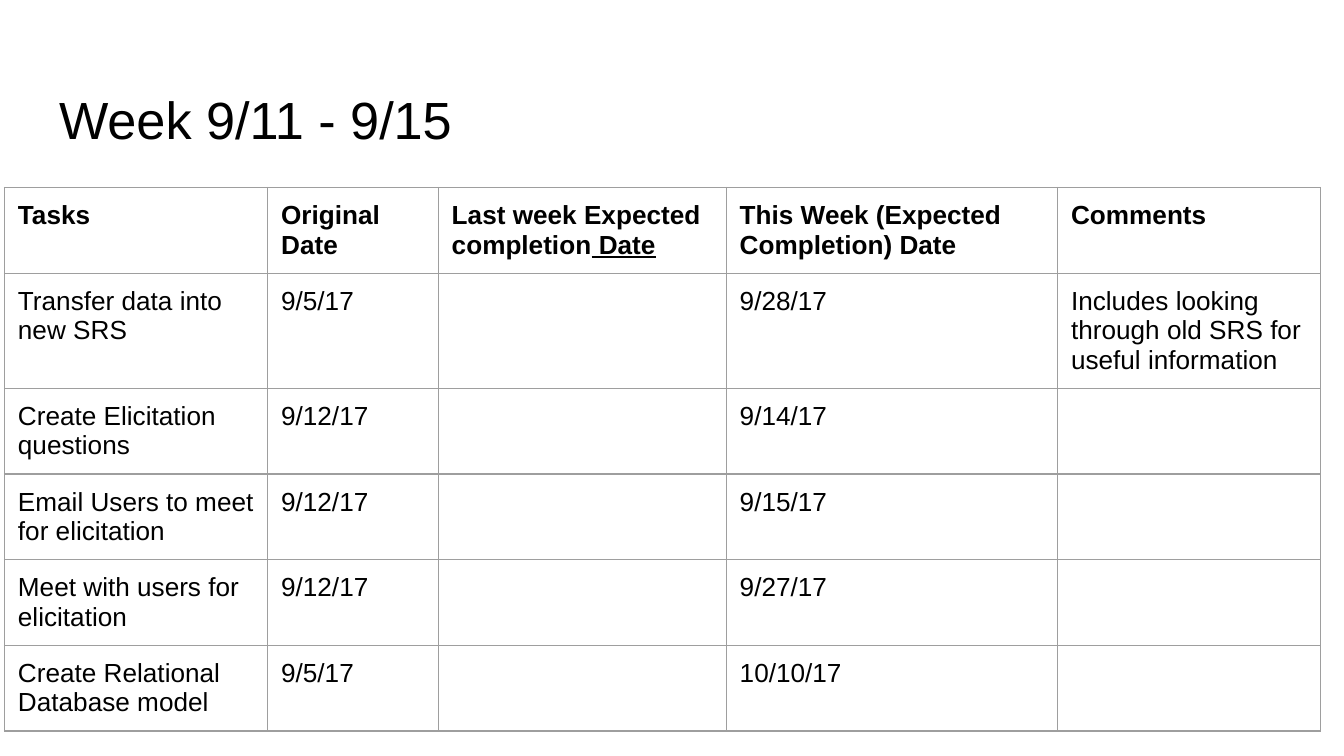
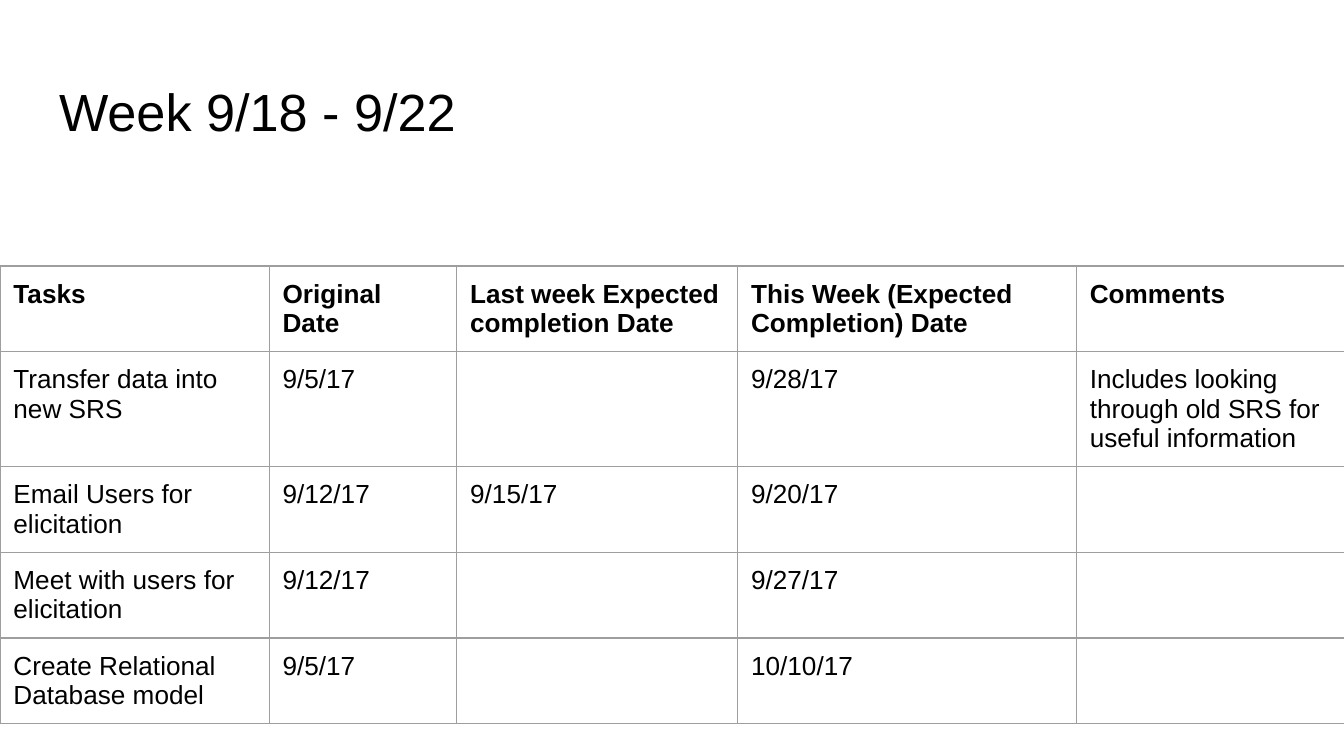
import pptx
import pptx.util
import pptx.dml.color
import pptx.enum.text
import pptx.oxml
import pptx.oxml.ns
import lxml.etree

Pt = pptx.util.Pt
RGBColor = pptx.dml.color.RGBColor

# Shared style
BLACK = RGBColor(0x00, 0x00, 0x00)
WHITE = RGBColor(0xFF, 0xFF, 0xFF)
GREY = RGBColor(0x9E, 0x9E, 0x9E)
FONT = "Arial"
INSET = Pt(7.2)
ROW = Pt(30.4)
SIDE = Pt(236.2)

# Wording that both weeks share
HEAD = ["Tasks", "Original Date", "Last week Expected completion Date",
        "This Week (Expected Completion) Date", "Comments"]
DATA = ["Transfer data into new SRS", "9/5/17", "", "9/28/17",
        "Includes looking through old SRS for useful information"]
MEET = ["Meet with users for elicitation", "9/12/17", "", "9/27/17", ""]
MODEL = ["Create Relational Database model", "9/5/17", "", "10/10/17", ""]


def add_run(para, text, size, bold=False, under=None):
    run = para.add_run()
    run.text = text
    font = run.font
    font.name, font.size, font.bold = FONT, Pt(size), bold
    font.underline = under
    font.color.rgb = BLACK


def set_insets(item):
    item.margin_left = item.margin_right = INSET
    item.margin_top = item.margin_bottom = INSET


def add_title(slide, text, top):
    title = slide.shapes.title
    title.left, title.top = Pt(24.5), Pt(top)
    title.width, title.height = Pt(671), Pt(45.1)
    frame = title.text_frame
    frame.word_wrap = True
    frame.auto_size = pptx.enum.text.MSO_AUTO_SIZE.NONE
    frame.vertical_anchor = pptx.enum.text.MSO_ANCHOR.TOP
    set_insets(frame)
    para = frame.paragraphs[0]
    para.alignment = pptx.enum.text.PP_ALIGN.LEFT
    add_run(para, text, 28)


def add_borders(cell):
    props = cell._tc.get_or_add_tcPr()
    qn = pptx.oxml.ns.qn
    for spot, side in enumerate(("a:lnL", "a:lnR", "a:lnT", "a:lnB")):
        line = lxml.etree.Element(qn(side), w=str(Pt(0.75)))
        fill = lxml.etree.SubElement(line, qn("a:solidFill"))
        lxml.etree.SubElement(fill, qn("a:srgbClr"), val=str(GREY))
        props.insert(spot, line)


def fill_cell(cell, parts, bold):
    """Parts is a plain string, or a list of (text, underline) pairs."""
    set_insets(cell)
    cell.fill.background()
    add_borders(cell)
    if isinstance(parts, str):
        parts = [(parts, None)] if parts else []
    for text, under in parts:
        add_run(cell.text_frame.paragraphs[0], text, 14, bold, under)


def add_tasks(slide, left, top, widths, rows):
    frame = slide.shapes.add_table(len(rows), len(widths),
                                   Pt(left), Pt(top), SIDE, SIDE)
    table = frame.table
    table.horz_banding = False
    for col, width in zip(table.columns, widths):
        col.width = Pt(width)
    for index, texts in enumerate(rows):
        table.rows[index].height = ROW
        for cell, parts in zip(table.rows[index].cells, texts):
            fill_cell(cell, parts, bold=index == 0)
    # Rows grow with their text, so the frame keeps its nominal size
    frame.width = frame.height = SIDE


def add_week(deck, name, title_top, left, top, widths, rows):
    slide = deck.slides.add_slide(deck.slide_layouts[5])
    slide.background.fill.solid()
    slide.background.fill.fore_color.rgb = WHITE
    add_title(slide, name, title_top)
    add_tasks(slide, left, top, widths, rows)


def main():
    deck = pptx.Presentation()
    deck.slide_width, deck.slide_height = Pt(720), Pt(405)

    # First week: the header ends in an underlined word
    head = list(HEAD)
    head[2] = [("Last week Expected completion", None), (" Date", True)]
    add_week(deck, "Week 9/11 - 9/15", 39.4, 2.4, 100.5,
             [141, 91.4, 154.3, 177.5, 141],
             [head, DATA,
              ["Create Elicitation questions", "9/12/17", "", "9/14/17", ""],
              ["Email Users to meet for elicitation", "9/12/17", "",
               "9/15/17", ""],
              MEET, MODEL])

    # Second week
    add_week(deck, "Week 9/18 - 9/22", 35, 0, 142.5,
             [144.2, 100.5, 150.5, 181.5, 144.2],
             [HEAD, DATA,
              ["Email Users for elicitation", "9/12/17", "9/15/17",
               "9/20/17", ""],
              MEET, MODEL])

    deck.save("out.pptx")


if __name__ == "__main__":
    main()
